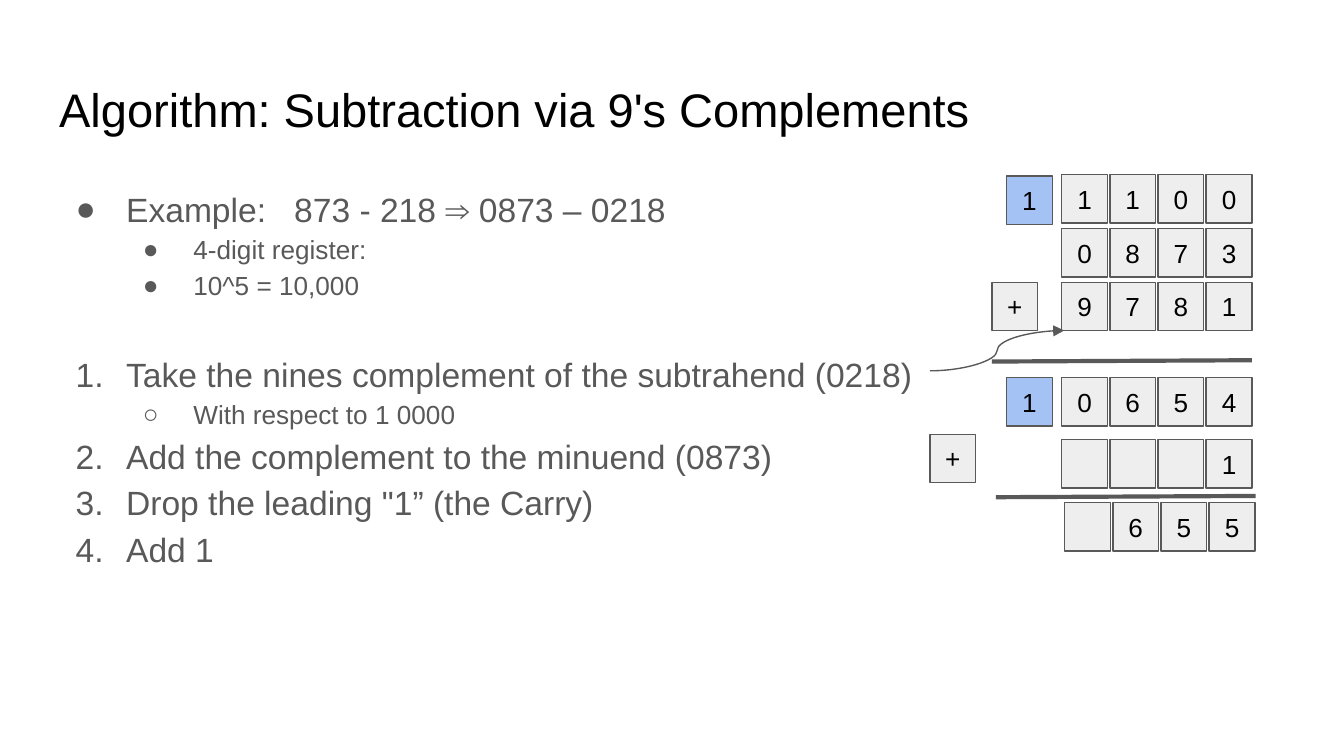
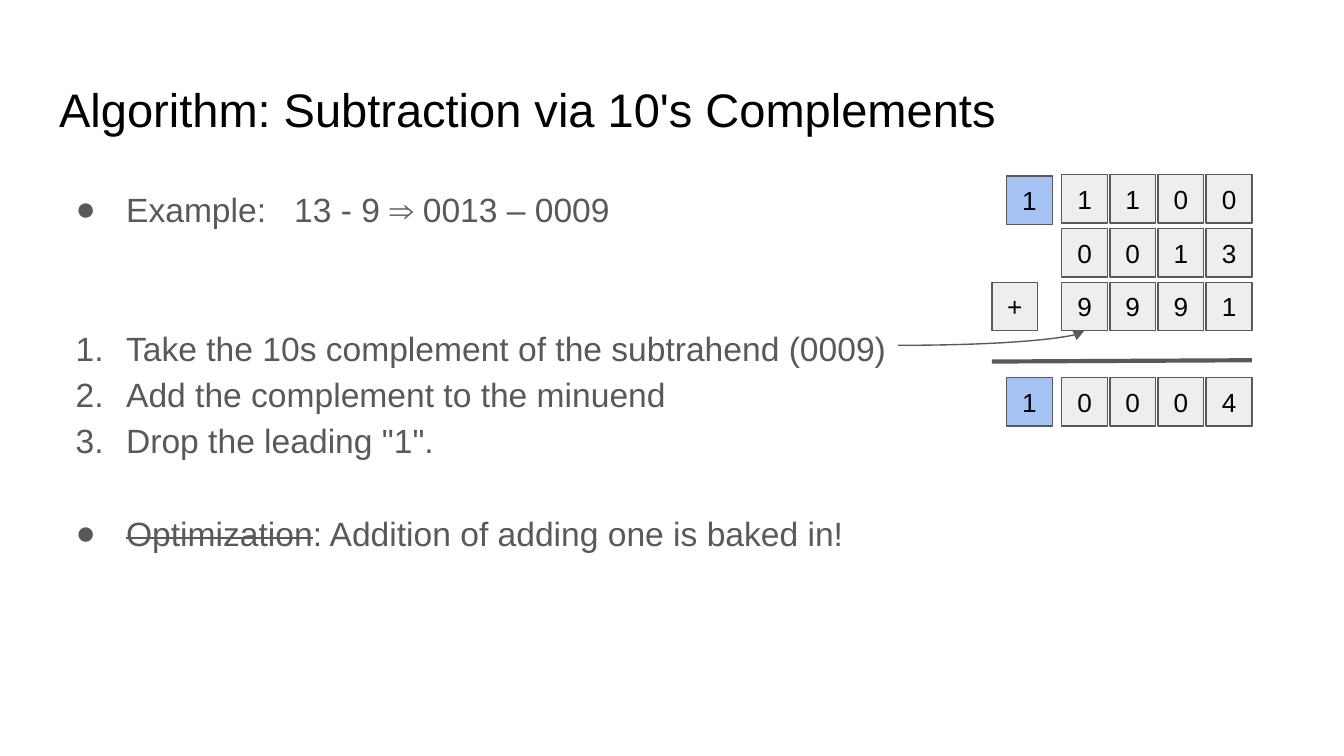
from lxml.etree import SubElement
from pptx import Presentation
from pptx.dml.color import RGBColor
from pptx.enum.shapes import MSO_CONNECTOR, MSO_SHAPE
from pptx.enum.text import MSO_ANCHOR, PP_ALIGN
from pptx.oxml.ns import qn
from pptx.util import Pt

BLACK = RGBColor(0x00, 0x00, 0x00)
GRAY = RGBColor(0x59, 0x59, 0x59)
LIGHT = RGBColor(0xEE, 0xEE, 0xEE)
BLUE = RGBColor(0xA4, 0xC2, 0xF4)

DOT, RING, NUMBER = "●", "○", "number"
BLANK_LINE = 24.8
CELL_WIDTH, CELL_HEIGHT, COLUMN_STEP = 24.5, 26, 25.8
GRID_LEFT, GRID_TOP, ROW_STEP = 568.8, 93.6, 28.8
CARRY_LEFT, PLUS_LEFT, RULE_WIDTH = 539.3, 531.4, 139.2
RESULT_TOP = 202.3


class Style:
    title_format = {"size": Pt(25.2), "name": "Arial", "bold": False}
    cell_format = {"size": Pt(14), "name": "Arial"}
    level_formats = [
        {"size": Pt(18), "name": "Arial"},
        {"size": Pt(14), "name": "Arial"},
    ]
    wide_space = {"spc": "1000"}
    struck = {"strike": "sngStrike"}

    def __init__(self, deck):
        self.deck = deck
        self.page = None

    def apply(self, font, values, color):
        for name, value in values.items():
            setattr(font, name, value)
        font.color.rgb = color

    def place(self, shape, left, top, width, height):
        for name, value in dict(left=left, top=top, width=width, height=height).items():
            setattr(shape, name, Pt(value))

    def frame(self, shape, anchor):
        values = {"word_wrap": True, "vertical_anchor": anchor}
        for side in ("left", "right", "top", "bottom"):
            values["margin_" + side] = Pt(7.2)
        for name, value in values.items():
            setattr(shape.text_frame, name, value)
        return shape.text_frame

    def start(self, title):
        self.page = self.deck.slides.add_slide(self.deck.slide_layouts[5])
        box = self.page.shapes.title
        self.place(box, 24.5, 35.3, 671, 45.4)
        para = self.frame(box, MSO_ANCHOR.MIDDLE).paragraphs[0]
        para.alignment = PP_ALIGN.LEFT
        span = para.add_run()
        span.text = title
        self.apply(span.font, self.title_format, BLACK)

    def bullet(self, para, mark, level):
        properties = para._p.get_or_add_pPr()
        properties.set("marL", str(Pt(36 * (level + 1))))
        properties.set("indent", str(-Pt(27)))
        color = SubElement(properties, qn("a:buClr"))
        SubElement(color, qn("a:srgbClr"), val=str(GRAY))
        SubElement(properties, qn("a:buFont"), typeface="Arial")
        if mark == NUMBER:
            SubElement(properties, qn("a:buAutoNum"), type="arabicPeriod")
        else:
            SubElement(properties, qn("a:buChar"), char=mark)

    def body(self, items):
        box = self.page.shapes.add_textbox(Pt(24.5), Pt(90.7), Pt(671), Pt(269.3))
        frame = self.frame(box, MSO_ANCHOR.TOP)
        for index, (mark, level, gap, pieces) in enumerate(items):
            para = frame.add_paragraph() if index else frame.paragraphs[0]
            para.level = level
            para.line_spacing = 1.15
            para.space_before = Pt(gap)
            self.bullet(para, mark, level)
            for text, extra in pieces:
                span = para.add_run()
                span.text = text
                self.apply(span.font, self.level_formats[level], GRAY)
                for name, value in extra.items():
                    span._r.get_or_add_rPr().set(name, value)

    def cell(self, left, top, text, fill=LIGHT):
        box = self.page.shapes.add_shape(
            MSO_SHAPE.RECTANGLE, Pt(left), Pt(top), Pt(CELL_WIDTH), Pt(CELL_HEIGHT))
        box.shadow.inherit = False
        box.fill.solid()
        box.fill.fore_color.rgb = fill
        box.line.color.rgb = GRAY
        box.line.width = Pt(0.75)
        para = self.frame(box, MSO_ANCHOR.MIDDLE).paragraphs[0]
        para.alignment = PP_ALIGN.CENTER
        if text.strip():
            span = para.add_run()
            span.text = text
            self.apply(span.font, self.cell_format, BLACK)

    def row(self, top, digits, left=GRID_LEFT):
        for column, digit in enumerate(digits):
            self.cell(left + column * COLUMN_STEP, top, digit)

    def connector(self, kind, start, end, width):
        line = self.page.shapes.add_connector(kind, *map(Pt, start + end))
        line.line.color.rgb = GRAY
        line.line.width = Pt(width)
        SubElement(line._element.spPr, qn("a:effectLst"))
        return line

    def rule(self, left, top):
        self.connector(
            MSO_CONNECTOR.STRAIGHT, (left, top), (left + RULE_WIDTH, top - 0.7), 2.25)

    def arrow(self, start, end, preset):
        line = self.connector(MSO_CONNECTOR.CURVE, start, end, 0.75)
        properties = line._element.spPr
        properties.find(qn("a:prstGeom")).set("prst", preset)
        SubElement(properties.find(qn("a:ln")), qn("a:tailEnd"), type="triangle")

    def addition(self, carries, minuend, complement, result):
        for index, digits in enumerate((carries, minuend, complement)):
            self.row(GRID_TOP + index * ROW_STEP, digits)
        self.row(RESULT_TOP, result)
        self.rule(PLUS_LEFT, 193.7)
        self.cell(PLUS_LEFT, GRID_TOP + 2 * ROW_STEP, "+")
        for top in (94.3, RESULT_TOP):
            self.cell(CARRY_LEFT, top, "1", BLUE)


def plain(text):
    return [(text, {})]


def example(text):
    return [("Example:", {}), (" ", Style.wide_space), (text, {})]


deck = Presentation()
deck.slide_width, deck.slide_height = Pt(720), Pt(405)
style = Style(deck)

style.start("Algorithm: Subtraction via 9's Complements")
style.body([
    (DOT, 0, 0, example("873 - 218 ⇒ 0873 – 0218")),
    (DOT, 1, 0, plain("4-digit register:")),
    (DOT, 1, 0, plain("10^5 = 10,000")),
    (NUMBER, 0, BLANK_LINE, plain("Take the nines complement of the subtrahend (0218)")),
    (RING, 1, 0, plain("With respect to 1 0000")),
    (NUMBER, 0, 0, plain("Add the complement to the minuend (0873)")),
    (NUMBER, 0, 0, plain('Drop the leading "1” (the Carry)')),
    (NUMBER, 0, 0, plain("Add 1")),
])
style.addition("1100", "0873", "9781", "0654")
style.cell(498.2, 232.6, "+")
style.row(235.4, "   1")
style.row(269.3, " 655", 570.4)
style.rule(533.5, 266.4)
style.arrow((498.2, 198.7), (570.2, 177.1), "curvedConnector3")

style.start("Algorithm: Subtraction via 10's Complements")
style.body([
    (DOT, 0, 0, example("13 - 9 ⇒ 0013 – 0009")),
    (NUMBER, 0, 2 * BLANK_LINE, plain("Take the 10s complement of the subtrahend (0009)")),
    (NUMBER, 0, 0, plain("Add the complement to the minuend")),
    (NUMBER, 0, 0, plain('Drop the leading "1".')),
    (DOT, 0, BLANK_LINE, [
        ("Optimization", Style.struck), (": Addition of adding one is baked in!", {})]),
])
style.addition("1100", "0013", "9991", "0004")
style.arrow((481, 185), (581, 177.1), "curvedConnector2")

deck.save("out.pptx")
